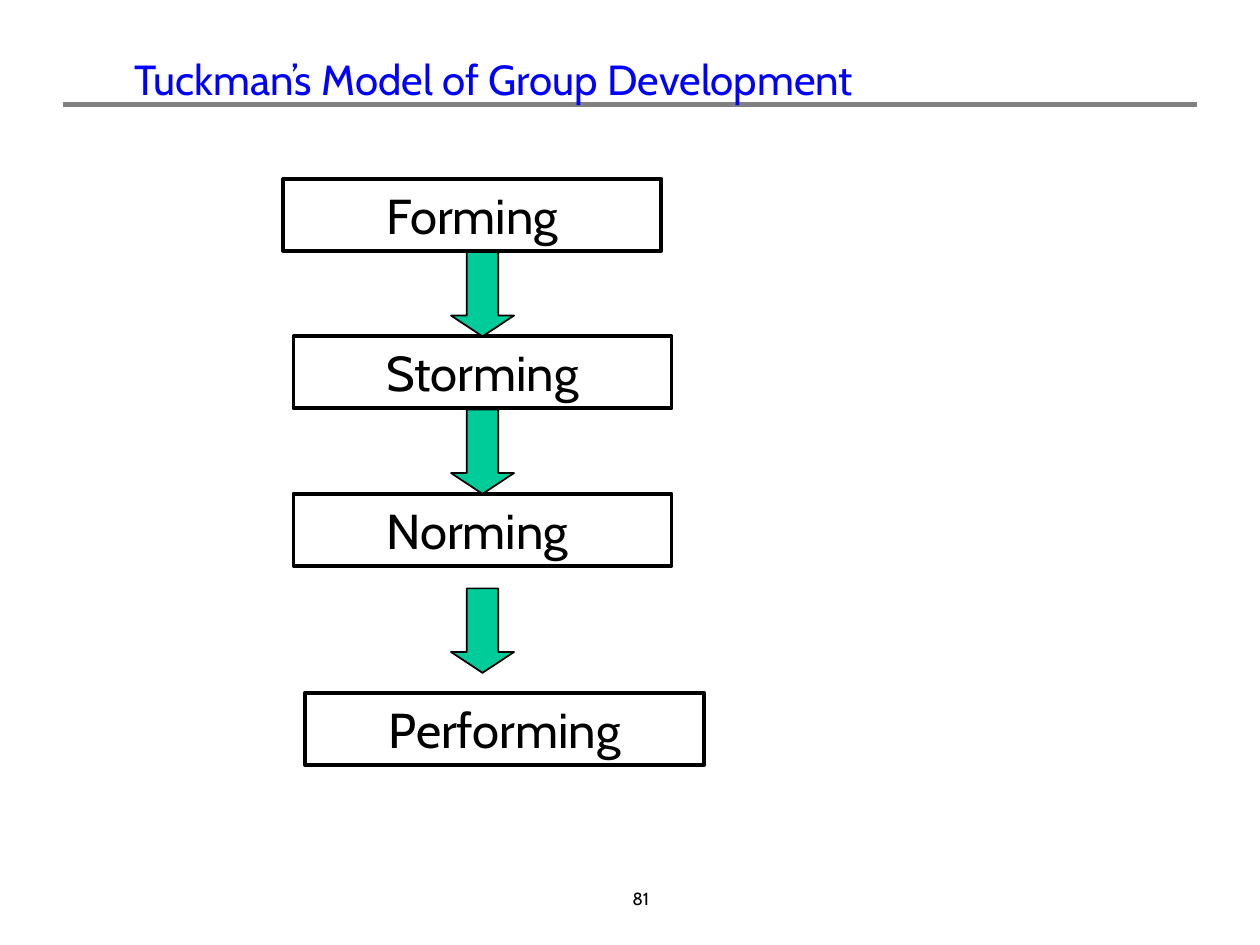
from lxml import etree
from pptx import Presentation
from pptx.dml.color import RGBColor
from pptx.enum.shapes import MSO_CONNECTOR as Link, MSO_SHAPE as Kind
from pptx.enum.text import MSO_ANCHOR as Anchor, MSO_AUTO_SIZE as Auto, PP_ALIGN as Align
from pptx.oxml.ns import qn
from pptx.util import Inches, Pt

WIDE, HIGH = 10, 7.5
FONT = "Cabin"
TITLE = "Tuckman’s Model of Group Development"
PAGE = "81"
# text, left, top, width
STAGES = [
    ("Forming", 2.25, 1.42, 3),
    ("Storming", 2.33, 2.67, 3),
    ("Norming ", 2.33, 3.92, 3),
    ("Performing", 2.42, 5.5, 3.17),
]
BOX_HIGH = 0.57
ARROW_LEFT, ARROW_WIDE, ARROW_HIGH = 3.58, 0.5, 0.67
ARROW_TOPS = [2, 3.25, 4.67]


def hue(code):
    return RGBColor.from_string(code)


def inch(*sizes):
    return [Inches(size) for size in sizes]


def write(shape, text, size, color="000000", anchor=Anchor.TOP, auto=Auto.NONE):
    frame = shape.text_frame
    frame.word_wrap = True
    frame.auto_size = auto
    frame.vertical_anchor = anchor
    para = frame.paragraphs[0]
    para.alignment = Align.CENTER
    run = para.add_run()
    run.text = text
    run.font.name = FONT
    run.font.size = Pt(size)
    run.font.color.rgb = hue(color)


def draw(shapes, kind, place, width, fill=None):
    shape = shapes.add_shape(kind, *inch(*place))
    shape.shadow.inherit = False
    if fill:
        shape.fill.solid()
        shape.fill.fore_color.rgb = hue(fill)
    else:
        shape.fill.background()
    shape.line.color.rgb = hue("000000")
    shape.line.width = Pt(width)
    return shape


def main():
    deck = Presentation()
    deck.slide_width, deck.slide_height = inch(WIDE, HIGH)
    shapes = deck.slides.add_slide(deck.slide_layouts[5]).shapes

    title = shapes.title
    title.left, title.top, title.width, title.height = inch(-0.58, 0, 9, 1.25)
    write(title, TITLE, 24, color="0000FF", anchor=Anchor.MIDDLE)

    rule = shapes.add_connector(Link.STRAIGHT, *inch(0.5, 0.83, WIDE - 0.5, 0.83))
    rule.line.color.rgb = hue("808080")
    rule.line.width = Pt(3)
    etree.SubElement(rule.element.spPr, qn("a:effectLst"))
    title.element.addprevious(rule.element)  # the rule lies behind the title

    write(shapes.add_textbox(*inch(4.5, 7, 1.17, 0.33)), PAGE, 10)

    for text, left, top, width in STAGES:
        box = draw(shapes, Kind.RECTANGLE, (left, top, width, BOX_HIGH), 2.25)
        write(box, text, 28, auto=Auto.SHAPE_TO_FIT_TEXT)

    for top in ARROW_TOPS:
        place = (ARROW_LEFT, top, ARROW_WIDE, ARROW_HIGH)
        arrow = draw(shapes, Kind.DOWN_ARROW, place, 1, fill="00CC99")
        arrow.adjustments[0] = 0.5
        arrow.adjustments[1] = 0.33

    deck.save("out.pptx")


if __name__ == "__main__":
    main()
